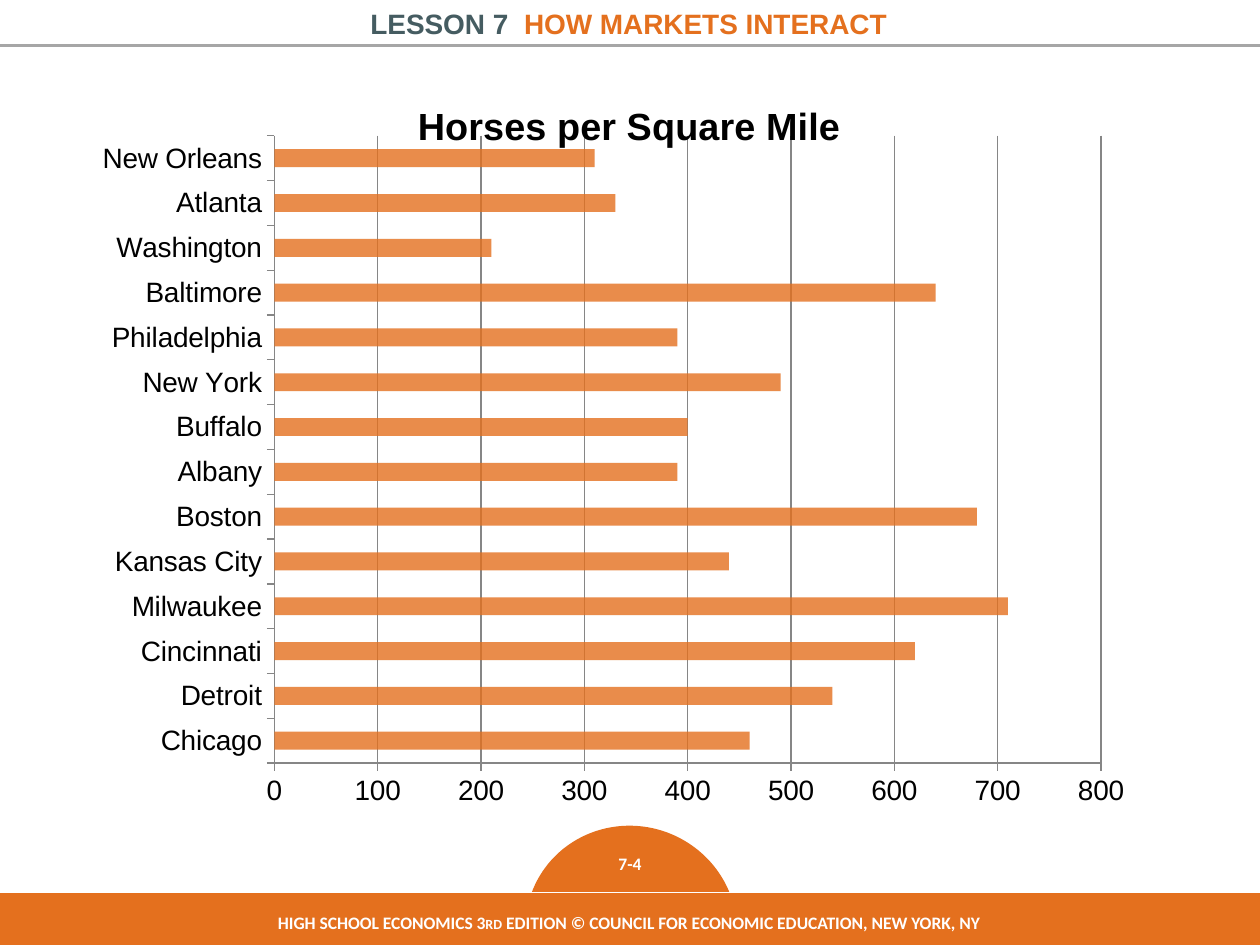
"""Build the lesson slide with a bar chart of horses per square mile."""
from lxml import etree
from pptx import Presentation
from pptx import util as u
from pptx.chart.data import CategoryChartData
from pptx.dml.color import RGBColor
from pptx.enum import chart as ch, shapes, text
from pptx.oxml import parse_xml
from pptx.oxml.ns import nsdecls, qn

COLORS = {"orange": "E4701E", "slate": "455C61", "rule": "A6A6A6",
          "grid": "868686", "white": "FFFFFF", "black": "000000"}
HEADER = [("LESSON 7\u00a0 ".replace("\u00a0", " "), 16, "slate"),
          ("HOW MARKETS INTERACT", 16, "orange")]
PAGE = [("7-4", 10, "white")]
FOOTER = [("HIGH SCHOOL ECONOMICS 3", 10, "white"), ("RD", 8, "white"),
          (" EDITION © COUNCIL FOR ECONOMIC EDUCATION, NEW YORK, NY", 10, "white")]
CHART_TITLE = "Horses per Square Mile"
HORSES = {"Chicago": 460, "Detroit": 540, "Cincinnati": 620, "Milwaukee": 710,
          "Kansas City": 440, "Boston": 680, "Albany": 390, "Buffalo": 400,
          "New York": 490, "Philadelphia": 390, "Baltimore": 640,
          "Washington": 210, "Atlanta": 330, "New Orleans": 310}
PLOT = {"x": 0.181, "y": 0.083, "w": 0.743, "h": 0.83}
WIDTH, HEIGHT = 10, 7.5
RULE_Y = 0.36


def rgb(name):
    return RGBColor.from_string(COLORS[name])


def box(*lengths):
    return [u.Inches(n) for n in lengths]


def write(sp, runs, font):
    tf = sp.text_frame
    tf.word_wrap = True
    tf.vertical_anchor = text.MSO_ANCHOR.TOP
    p = tf.paragraphs[0]
    p.alignment = text.PP_ALIGN.CENTER
    p.font.name, p.font.bold = font, True
    for words, size, color in runs:
        r = p.add_run()
        r.text = words
        r.font.size, r.font.color.rgb = u.Pt(size), rgb(color)


def add_filled(s, kind, place, line, width):
    sp = s.shapes.add_shape(kind, *box(*place))
    sp.shadow.inherit = False
    sp.fill.solid()
    sp.fill.fore_color.rgb = rgb("orange")
    sp.line.color.rgb, sp.line.width = rgb(line), u.Pt(width)
    return sp


def add_header(s):
    rule = s.shapes.add_connector(shapes.MSO_CONNECTOR.STRAIGHT,
                                  *box(0, RULE_Y, WIDTH, RULE_Y))
    rule.line.color.rgb, rule.line.width = rgb("rule"), u.Pt(2)
    etree.SubElement(rule._element.spPr, qn("a:effectLst"))
    title = s.shapes.title
    title.left, title.top, title.width, title.height = box(0.95, 0, 8.08, 0.37)
    write(title, HEADER, "Arial")


def add_footer(s):
    dome = add_filled(s, shapes.MSO_SHAPE.CHORD, (4.2, 6.55, 1.62, 1.66), "orange", 2)
    dome.rotation = 112.5
    dome.adjustments[0], dome.adjustments[1] = 39.96, 148.42
    write(s.shapes.add_textbox(*box(4.5, 6.72, 1, 0.27)), PAGE, "Calibri")
    add_filled(s, shapes.MSO_SHAPE.RECTANGLE, (-0.04, 7.08, 10.06, 0.42), "white", 0.25)
    write(s.shapes.add_textbox(*box(1.28, 7.19, 7.42, 0.27)), FOOTER, "Calibri")


def add_horse_chart(s):
    data = CategoryChartData()
    data.categories = list(HORSES)
    data.add_series("Series 1", list(HORSES.values()))
    chart = s.shapes.add_chart(ch.XL_CHART_TYPE.BAR_CLUSTERED,
                               *box(0.58, 0.58, 8.83, 6), data).chart
    chart.has_legend = False
    chart.font.name, chart.font.size = "Arial", u.Pt(18)
    chart.font.color.rgb = rgb("black")
    chart.has_title = True
    p = chart.chart_title.text_frame.paragraphs[0]
    p.text = CHART_TITLE
    p.font.name, p.font.size, p.font.bold = "Arial", u.Pt(21.6), True

    for axis in (chart.category_axis, chart.value_axis):
        axis.tick_labels.font.size = u.Pt(16)
        axis.major_tick_mark = ch.XL_TICK_MARK.OUTSIDE
        axis.format.line.color.rgb = rgb("grid")
    axis.minimum_scale, axis.maximum_scale, axis.major_unit = 0, 800, 100
    axis.major_gridlines.format.line.color.rgb = rgb("grid")

    plot = chart.plots[0]
    plot.gap_width, plot.vary_by_categories = 150, False
    fill = plot.series[0].format.fill
    fill.solid()
    fill.fore_color.rgb = rgb("orange")
    color = plot.series[0]._element.find(".//" + qn("a:srgbClr"))
    etree.SubElement(color, qn("a:alpha"), val="80000")

    modes = "".join(f'<c:{k}Mode val="edge"/>' for k in "xy")
    sizes = "".join(f'<c:{k} val="{v}"/>' for k, v in PLOT.items())
    area = chart._chartSpace.chart.plotArea
    for old in area.findall(qn("c:layout")):
        area.remove(old)
    area.insert(0, parse_xml(
        f'<c:layout {nsdecls("c")}><c:manualLayout><c:layoutTarget val="inner"/>'
        f'{modes}{sizes}</c:manualLayout></c:layout>'))


def main():
    prs = Presentation()
    prs.slide_width, prs.slide_height = box(WIDTH, HEIGHT)
    s = prs.slides.add_slide(prs.slide_layouts[5])
    add_header(s)
    add_footer(s)
    add_horse_chart(s)
    prs.save("out.pptx")


if __name__ == "__main__":
    main()
